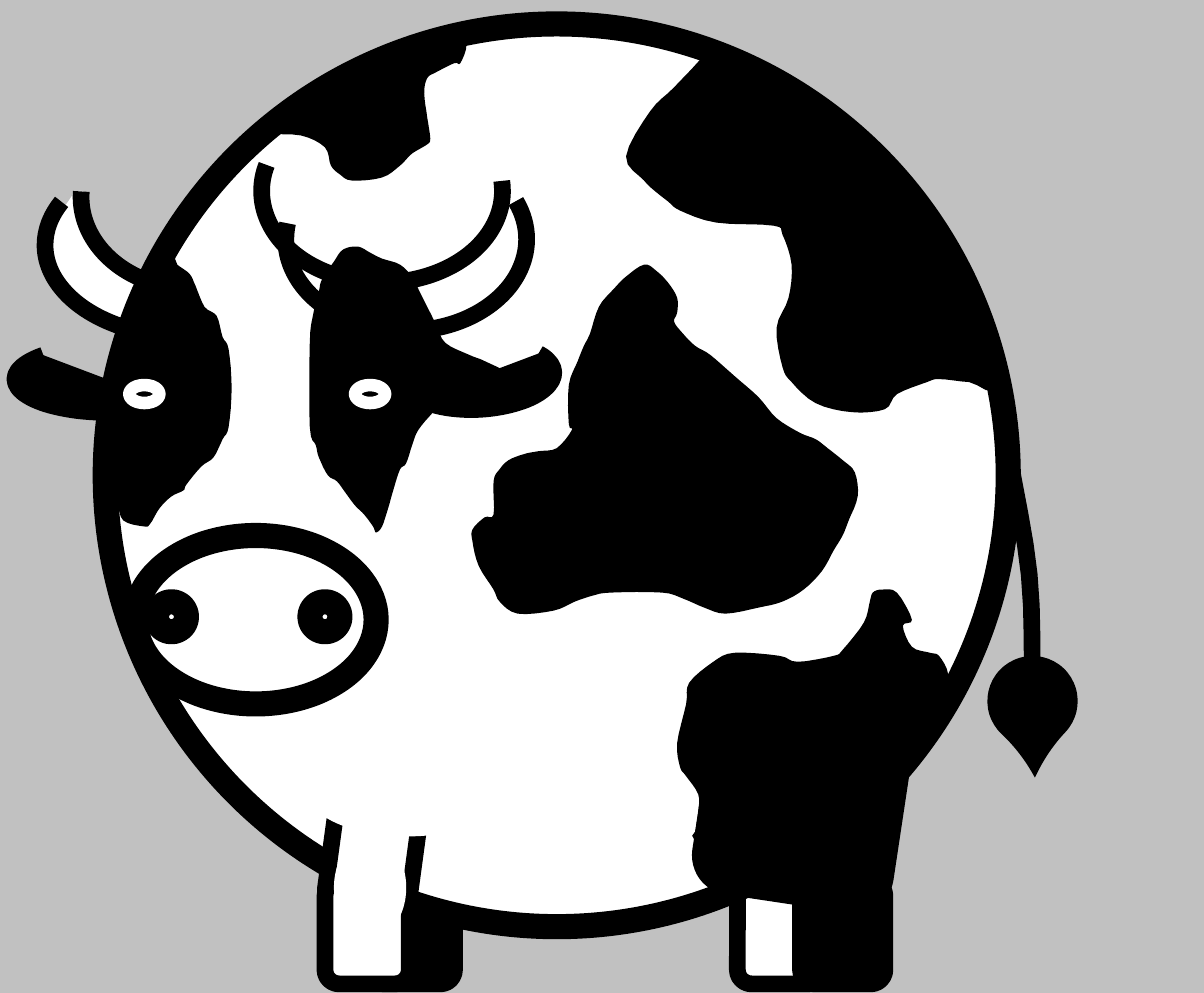
from pptx import Presentation
from pptx.dml.color import RGBColor
from pptx.enum.shapes import MSO_SHAPE
from pptx.util import Pt

PX = 9144  # EMU per px, 100 px to the inch
STEPS = 4  # straight pieces between two outline points
BLACK = RGBColor(0x00, 0x00, 0x00)
WHITE = RGBColor(0xFF, 0xFF, 0xFF)
GREY = RGBColor(0xC1, 0xC1, 0xC1)
ARC, OVAL = MSO_SHAPE.ARC, MSO_SHAPE.OVAL
ROUNDED, TEAR = MSO_SHAPE.ROUNDED_RECTANGLE, MSO_SHAPE.TEAR
DEGREE = 0.6  # arc adjustment units per degree

# Styles: fill, line colour, line width in points
SOLID_BLACK = (BLACK, None, 0)
SOLID_WHITE = (WHITE, None, 0)
BLACK_LIMB = (BLACK, BLACK, 4)
WHITE_LIMB = (WHITE, BLACK, 4)
STROKE = (None, BLACK, 4)
HEAVY = (WHITE, BLACK, 6)
EYE = (BLACK, WHITE, 3)

# Outlines: points in px
LEFT_HORN = [
    (49, 95), (44, 93), (39, 89), (34, 85), (32, 82), (30, 76), (29, 70), (28, 64),
    (25, 64), (22, 68), (18, 73), (16, 79), (17, 88), (19, 94), (23, 96), (25, 100),
    (30, 104), (36, 106), (41, 108), (47, 110), (47, 99)]
RIGHT_EYE_PATCH = [
    (148, 133), (156, 133), (163, 132), (167, 129), (170, 126), (169, 124), (161, 120),
    (156, 118), (148, 114), (145, 108), (143, 104), (141, 100), (138, 94), (137, 92),
    (133, 88), (127, 86), (123, 84), (119, 82), (114, 83), (111, 87), (107, 93),
    (106, 97), (104, 105), (103, 114), (103, 142), (105, 148), (106, 152), (109, 158),
    (112, 160), (115, 164), (118, 168), (121, 171), (124, 175), (125, 177), (127, 175),
    (129, 169), (131, 162), (133, 156), (135, 154), (137, 148), (139, 143), (144, 137)]
LEFT_EYE_PATCH = [
    (55, 84), (59, 88), (63, 91), (65, 95), (68, 102), (72, 105), (74, 112), (76, 116),
    (77, 129), (76, 142), (74, 146), (71, 152), (67, 155), (62, 161), (61, 163),
    (57, 165), (53, 169), (50, 174), (48, 175), (41, 173), (39, 167), (37, 163),
    (35, 157), (33, 150), (33, 146), (39, 115)]
RUMP_SPOT = [
    (230, 18), (234, 18), (224, 29), (216, 37), (208, 52), (214, 60), (217, 63),
    (222, 67), (226, 70), (238, 74), (257, 75), (260, 78), (263, 88), (262, 99),
    (258, 109), (260, 122), (263, 127), (271, 134), (283, 137), (294, 136), (298, 131),
    (308, 127), (312, 126), (322, 127), (330, 127), (316, 86), (288, 49), (242, 18)]
SIDE_SPOT = [
    (185, 149), (179, 150), (174, 151), (169, 153), (166, 156), (164, 160), (164, 171),
    (161, 172), (157, 176), (157, 180), (159, 188), (164, 196), (166, 200), (172, 204),
    (184, 203), (191, 200), (197, 198), (203, 197), (220, 197), (227, 199), (234, 202),
    (241, 204), (252, 202), (260, 200), (267, 196), (273, 190), (277, 183), (280, 178),
    (282, 173), (285, 165), (284, 157), (280, 153), (275, 149), (271, 146), (266, 144),
    (258, 139), (252, 132), (244, 125), (236, 118), (231, 115), (227, 111), (224, 107),
    (225, 104), (225, 99), (222, 94), (218, 90), (214, 88), (208, 92), (204, 96),
    (199, 102), (196, 111), (194, 115), (192, 120), (189, 128), (189, 141), (190, 143)]
BACK_SPOT = [
    (88, 44), (100, 45), (108, 49), (110, 55), (113, 58), (117, 60), (127, 59),
    (133, 55), (137, 51), (142, 48), (143, 46), (142, 39), (141, 31), (142, 26),
    (145, 24), (151, 21), (153, 21), (155, 15), (152, 11), (144, 12), (138, 14),
    (132, 17), (127, 21), (119, 25), (111, 30), (106, 31), (101, 36), (94, 38)]
HIND_SPOT = [
    (235, 276), (231, 279), (232, 270), (232, 264), (228, 258), (226, 255), (225, 247),
    (228, 234), (229, 227), (237, 220), (244, 217), (259, 218), (265, 220), (277, 218),
    (280, 216), (287, 207), (289, 200), (290, 197), (293, 196), (298, 197), (303, 206),
    (300, 208), (303, 215), (309, 217), (312, 218), (315, 224), (313, 230), (282, 280)]
TAIL = [(327, 108), (335, 150), (342, 191), (343, 228)]

# Parts from back to front: preset is (kind, box, style, format),
# outline is (points, style, closed)
PARTS = [
    [(ROUNDED, (245, 293, 28, 34), WHITE_LIMB, {})],
    [(ROUNDED, (123, 293, 28, 34), BLACK_LIMB, {})],
    # Left horn
    [(LEFT_HORN, SOLID_WHITE, True),
     (ARC, (15, 51, 94, 61), STROKE, {"flip": "HV", "arc": (183.6, 19.1)}),
     (ARC, (27, 35, 74, 61), STROKE, {"flip": "HV", "arc": (173, 2.9)})],
    # Body
    [(OVAL, (35, 8, 300, 300), HEAVY, {})],
    # Muzzle
    [(OVAL, (45, 178, 80, 56), HEAVY, {})]
    + [(OVAL, (x, 200, 10, 10), HEAVY, {}) for x in (52, 103)],
    # Right side of the face
    [(RIGHT_EYE_PATCH, SOLID_BLACK, True),
     (OVAL, (118, 128, 10, 6), EYE, {}),
     (ARC, (95, 49, 80, 61), STROKE, {"flip": "V", "arc": (172.4, 19.1)}),
     (ARC, (87, 33, 80, 61), STROKE, {"flip": "V", "arc": (167.3, 4.8)}),
     (ARC, (134, 114, 50, 22), BLACK_LIMB,
      {"flip": "H", "arc": (18.4, 197.6), "rotation": 356.8})],
    # Spots
    [(spot, SOLID_BLACK, True) for spot in (RUMP_SPOT, SIDE_SPOT, BACK_SPOT)],
    # Tail
    [(TAIL, STROKE, False),
     (TEAR, (328, 218, 30, 30), SOLID_BLACK, {"rotation": 133.2, "point": 1.2})],
    # Hind leg
    [(ROUNDED, (236, 230, 62, 68), BLACK_LIMB, {"rotation": 8.6}),
     (ROUNDED, (266, 293, 28, 34), BLACK_LIMB, {})],
    # Front leg
    [(ROUNDED, (110, 263, 28, 39), WHITE_LIMB, {"rotation": 7.7}),
     (ROUNDED, (108, 293, 28, 34), WHITE_LIMB, {}),
     (OVAL, (102, 248, 67, 30), SOLID_WHITE, {}),
     (OVAL, (111, 278, 24, 34), SOLID_WHITE, {})],
    [(HIND_SPOT, SOLID_BLACK, True)],
    # Left side of the face
    [(ARC, (5, 115, 61, 22), BLACK_LIMB, {"arc": (28.8, 200.7)}),
     (LEFT_EYE_PATCH, SOLID_BLACK, True),
     (OVAL, (43, 128, 10, 6), EYE, {})],
]


def smooth(points, closed):
    """Run a Catmull-Rom curve through the points, in EMU."""
    ring = [points[-1], *points, *points[:2]] if closed else [points[0], *points, points[-1]]
    curve = []
    for a, b, c, d in zip(ring, ring[1:], ring[2:], ring[3:]):
        for step in range(STEPS):
            t = step / STEPS
            curve.append(tuple(
                PX * (q + t * (r - p + t * (2 * p - 5 * q + 4 * r - s
                                            + t * (3 * q - p - 3 * r + s))) / 2)
                for p, q, r, s in zip(a, b, c, d)))
    if not closed:
        curve.append(tuple(PX * value for value in points[-1]))
    return curve


def paint(shape, style):
    fill, line, width = style
    shape.shadow.inherit = False
    for target, colour in ((shape.fill, fill), (shape.line.fill, line)):
        if colour is None:
            target.background()
        else:
            target.solid()
            target.fore_color.rgb = colour
    if line is not None:
        shape.line.width = Pt(width)


def add_outline(shapes, points, style, closed):
    start, *rest = smooth(points, closed)
    builder = shapes.build_freeform(*start, scale=1.0)
    builder.add_line_segments(rest, close=closed)
    paint(builder.convert_to_shape(), style)


def add_preset(shapes, kind, box, style, settings):
    shape = shapes.add_shape(kind, *(value * PX for value in box))
    paint(shape, style)
    shape.rotation = settings.get("rotation", 0)
    for axis in settings.get("flip", ""):
        shape.element.spPr.get_or_add_xfrm().set("flip" + axis, "1")
    for index, angle in enumerate(settings.get("arc", ())):
        shape.adjustments[index] = angle * DEGREE
    if "point" in settings:
        shape.adjustments[0] = settings["point"]


presentation = Presentation()
presentation.slide_width, presentation.slide_height = 400 * PX, 330 * PX
slide = presentation.slides.add_slide(presentation.slide_layouts[6])
slide.background.fill.solid()
slide.background.fill.fore_color.rgb = GREY

for part in PARTS:
    shapes = slide.shapes if len(part) == 1 else slide.shapes.add_group_shape().shapes
    for item in part:
        if isinstance(item[0], list):
            add_outline(shapes, *item)
        else:
            add_preset(shapes, *item)

presentation.save("out.pptx")
